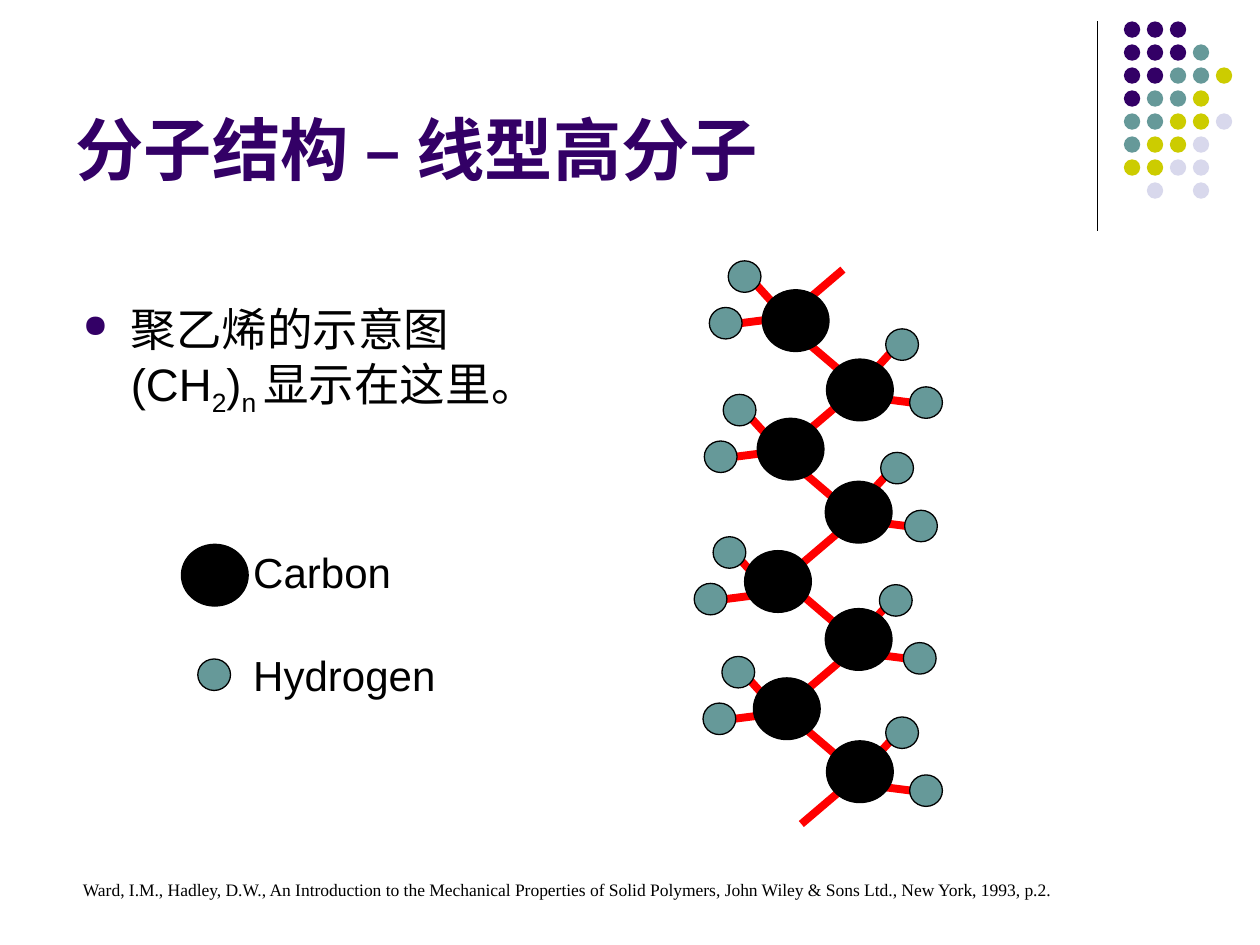
from lxml.etree import SubElement
from pptx import Presentation
from pptx.dml.color import RGBColor
from pptx.enum.shapes import MSO_CONNECTOR, MSO_SHAPE
from pptx.enum.text import MSO_ANCHOR, MSO_AUTO_SIZE, PP_ALIGN
from pptx.oxml.ns import qn
from pptx.util import Inches, Pt

BLACK, RED, PURPLE, TEAL = "000000", "FF0000", "330066", "669999"
DOT_COLORS = {"P": PURPLE, "T": TEAL, "Y": "CCCC00", "L": "D8D8EC"}
DOT_ROWS = ["PPP", "PPPT", "PPTTY", "PTTY", "TTYYL", "TYYL", "YYLL", " L L"]
DOT_PITCH = 0.73 / 4

CARBONS = [(6.05, 2.3), (6.56, 2.85), (6.01, 3.32), (6.55, 3.82),
           (5.91, 4.37), (6.55, 4.83), (5.98, 5.38), (6.56, 5.88)]
BACKBONE = [(6.69, 2.14), (6.36, 2.68), (6.68, 3.19), (6.33, 3.71), (6.65, 4.23),
            (6.35, 4.71), (6.69, 5.23), (6.34, 5.74), (6.7, 6.25)]
LEFT_PAIRS = [(5.78, 2.07), (5.74, 3.13), (5.66, 4.26), (5.73, 5.21)]
RIGHT_PAIRS = [(7.03, 2.61), (6.99, 3.59), (6.98, 4.64), (7.03, 5.69)]
LEFT_BONDS = [(0.15, 0.11, 0.35, 0.33), (-0.02, 0.51, 0.37, 0.46)]
RIGHT_BONDS = [(0.11, 0.11, -0.09, 0.33), (0.32, 0.6, -0.07, 0.55)]


def rgb(color):
    return RGBColor.from_string(color)


class Deck:
    def __init__(self, width, height):
        self.prs = Presentation()
        self.prs.slide_width = Inches(width)
        self.prs.slide_height = Inches(height)
        self.s = None
        self.font = "Arial"

    def add_slide(self):
        self.s = self.prs.slides.add_slide(self.prs.slide_layouts[5])

    def format(self, p, size, color=BLACK, font=None, bold=False):
        p.alignment = PP_ALIGN.LEFT
        for r in p.runs:
            r.font.name = font or self.font
            r.font.size = Pt(size)
            r.font.bold = bold
            r.font.color.rgb = rgb(color)

    def title(self, text, x, y, w, h):
        sp = self.s.shapes.title
        sp.left, sp.top, sp.width, sp.height = map(Inches, (x, y, w, h))
        tf = sp.text_frame
        tf.text = text
        tf.auto_size = MSO_AUTO_SIZE.NONE
        tf.vertical_anchor = MSO_ANCHOR.BOTTOM
        self.format(tf.paragraphs[0], 39, PURPLE, bold=True)

    def textbox(self, x, y, w, h, wrap=False, inset=True):
        tf = self.s.shapes.add_textbox(*map(Inches, (x, y, w, h))).text_frame
        tf.word_wrap = wrap
        if not inset:
            tf.margin_left = tf.margin_right = tf.margin_top = tf.margin_bottom = 0
        return tf

    def lines(self, texts, x, y, w, h, size, font=None, inset=True, gap=0):
        tf = self.textbox(x, y, w, h, inset=inset)
        tf.text = "\n".join(texts)
        for i, p in enumerate(tf.paragraphs):
            self.format(p, size, font=font)
            if i:
                p.space_before = Pt(gap)

    def bullet(self, parts, x, y, w, h, size):
        p = self.textbox(x, y, w, h, wrap=True).paragraphs[0]
        pPr = p._p.get_or_add_pPr()
        pPr.set("marL", str(Inches(0.38)))
        pPr.set("indent", str(Inches(-0.38)))
        clr = SubElement(pPr, qn("a:buClr"))
        SubElement(clr, qn("a:srgbClr"), val=PURPLE)
        SubElement(pPr, qn("a:buSzPct"), val="70000")
        SubElement(pPr, qn("a:buChar"), char="●")
        for text, subscript in parts:
            r = p.add_run()
            r.text = text
            if subscript:
                r.font._element.set("baseline", "-25000")
        self.format(p, size)

    def oval(self, x, y, w, h, fill, outlined=True):
        sp = self.s.shapes.add_shape(MSO_SHAPE.OVAL, *map(Inches, (x, y, w, h)))
        sp.shadow.inherit = False
        sp.fill.solid()
        sp.fill.fore_color.rgb = rgb(fill)
        if outlined:
            sp.line.color.rgb = rgb(BLACK)
            sp.line.width = Pt(0.75)
        else:
            sp.line.fill.background()

    def line(self, x1, y1, x2, y2, color=RED, width=4.5):
        c = self.s.shapes.add_connector(MSO_CONNECTOR.STRAIGHT, *map(Inches, (x1, y1, x2, y2)))
        c.line.color.rgb = rgb(color)
        c.line.width = Pt(width)
        SubElement(c._element.spPr, qn("a:effectLst"))

    def carbon(self, x, y):
        self.oval(x, y, 0.53, 0.49, BLACK)

    def hydrogen(self, x, y):
        self.oval(x, y, 0.26, 0.25, TEAL)

    def hydrogen_pair(self, x, y, bonds, dx, dy):
        for x1, y1, x2, y2 in bonds:
            self.line(x + x1, y + y1, x + x2, y + y2)
        self.hydrogen(x, y)
        self.hydrogen(x + dx, y + dy)

    def dots(self, x, y):
        for i, row in enumerate(DOT_ROWS):
            for j, key in enumerate(row):
                if key in DOT_COLORS:
                    self.oval(x + j * DOT_PITCH, y + i * DOT_PITCH, 0.13, 0.13,
                              DOT_COLORS[key], outlined=False)

    def polymer(self):
        for x, y in RIGHT_PAIRS:
            self.hydrogen_pair(x, y, RIGHT_BONDS, 0.19, 0.46)
        for x, y in LEFT_PAIRS:
            self.hydrogen_pair(x, y, LEFT_BONDS, -0.15, 0.37)
        for i, (x, y) in enumerate(BACKBONE):
            self.line(x, y, x + (0.34 if i % 2 else -0.34), y + 0.29)
        for x, y in CARBONS:
            self.carbon(x, y)


def main():
    deck = Deck(10, 7.5)
    deck.add_slide()
    deck.line(8.71, 0.17, 8.71, 1.83, BLACK, 0.75)
    deck.dots(8.92, 0.17)
    deck.title("分子结构 – 线型高分子", 0.5, 0.13, 8.25, 1.42)
    deck.bullet([("聚乙烯的示意图 (CH", False), ("2", True), (")", False),
                 ("n ", True), ("显示在这里。", False)], 0.56, 2.34, 3.48, 3.37, 26)
    deck.polymer()
    deck.lines(["Ward, I.M., Hadley, D.W., An Introduction to the Mechanical Properties of "
                "Solid Polymers, John Wiley & Sons Ltd., New York, 1993, p.2."],
               0.56, 6.93, 7.88, 0.27, 10, font="Times New Roman")
    deck.lines(["Carbon", "Hydrogen"], 2.01, 4.34, 1.45, 1.2, 24, inset=False, gap=30)
    deck.carbon(1.44, 4.32)
    deck.hydrogen(1.57, 5.23)
    deck.prs.save("out.pptx")


if __name__ == "__main__":
    main()
